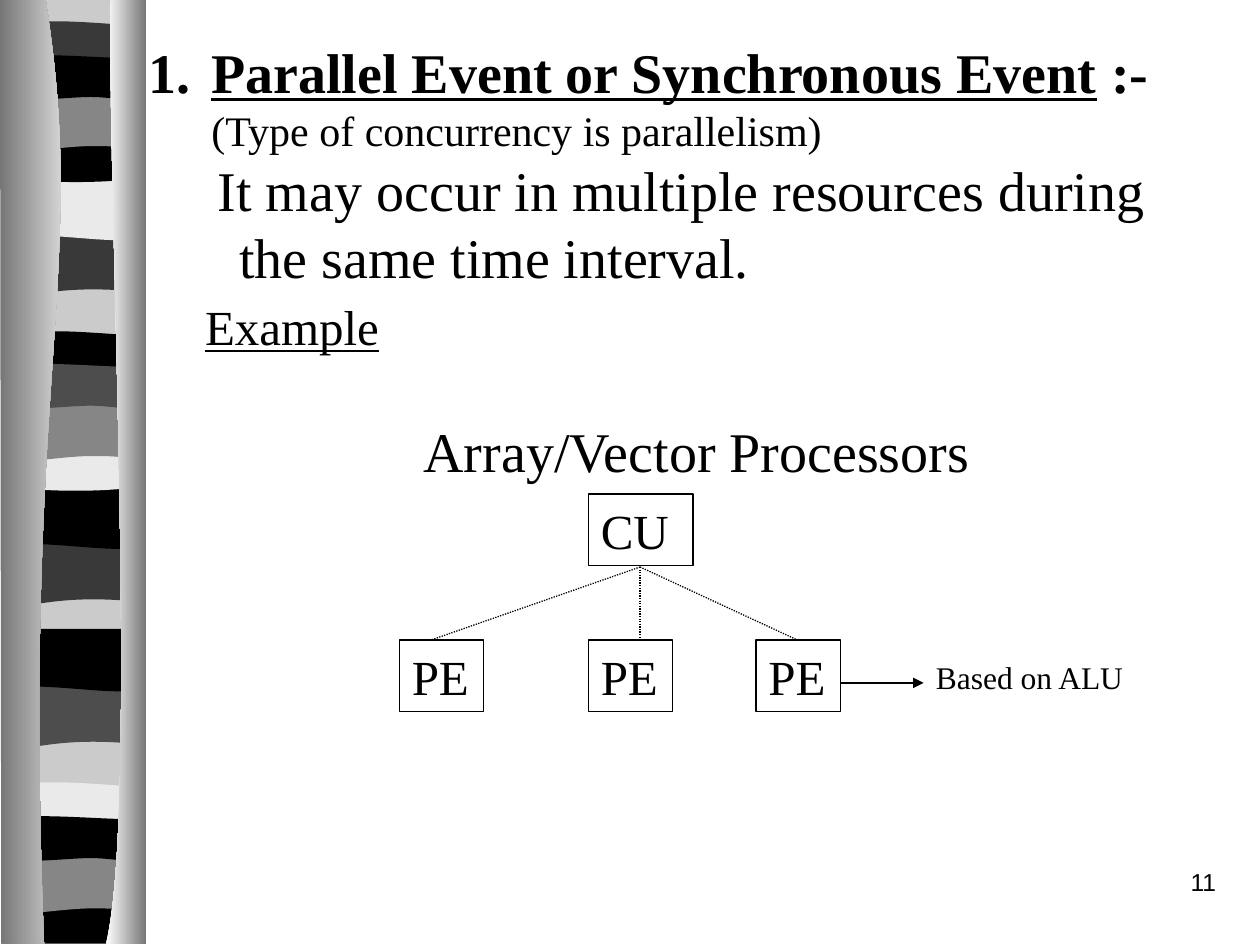
from lxml.etree import SubElement
from pptx import Presentation
from pptx.dml.color import RGBColor
from pptx.enum.dml import MSO_LINE
from pptx.enum.shapes import MSO_CONNECTOR, MSO_SHAPE
from pptx.enum.text import MSO_ANCHOR, PP_ALIGN
from pptx.oxml.ns import qn
from pptx.util import Inches, Pt

BLACK = RGBColor(0x00, 0x00, 0x00)
CHARCOAL = RGBColor(0x39, 0x39, 0x39)
DARK = RGBColor(0x4D, 0x4D, 0x4D)
STEEL = RGBColor(0x76, 0x76, 0x76)
GRAY = RGBColor(0x86, 0x86, 0x86)
SILVER = RGBColor(0xCB, 0xCB, 0xCB)
PALE = RGBColor(0xEA, 0xEA, 0xEA)
WHITE = RGBColor(0xFF, 0xFF, 0xFF)

LINE_HEIGHT = 1.2


def add_outline(outline, top=0):
    """Draw a closed outline: two numbers are a corner, six a Bezier curve."""
    points = [(Inches(x), Inches(top + y)) for segment in outline
              for x, y in zip(segment[::2], segment[1::2])]
    builder = slide.shapes.build_freeform(*points[0], scale=1.0)
    builder.add_line_segments(points[1:], close=True)
    shape = builder.convert_to_shape()
    lines = iter(list(shape._element.iter(qn("a:lnTo"))))
    for segment in outline[1:]:
        line = next(lines)
        if len(segment) == 6:
            line.tag = qn("a:cubicBezTo")
            for _ in range(2):
                control = next(lines)
                control.getparent().remove(control)
                line.append(control[0])
    shape.shadow.inherit = False
    shape.line.fill.background()
    return shape


def write(shape, text, size=28, font="Times New Roman", align=PP_ALIGN.LEFT, bold=False,
          underline=False, left=0, first=0, before=0, number=False, tail=""):
    """Add a paragraph; left and first are indents in inches, tail is not underlined."""
    frame = shape.text_frame
    frame.word_wrap = True
    frame.vertical_anchor = MSO_ANCHOR.TOP
    paragraph = frame.add_paragraph() if frame.text else frame.paragraphs[0]
    paragraph.alignment = align
    paragraph.line_spacing = Pt(round(size * LINE_HEIGHT, 1))
    paragraph.space_before = Pt(before)
    properties = paragraph._p.get_or_add_pPr()
    properties.set("marL", str(Inches(left)))
    properties.set("indent", str(Inches(first)))
    if number:
        SubElement(properties, qn("a:buFont"), typeface=font)
        SubElement(properties, qn("a:buAutoNum"), type="arabicPeriod")
    for words, underlined in ((text, underline), (tail, False)):
        if words:
            run = paragraph.add_run()
            run.text = words
            run.font.name = font
            run.font.size = Pt(size)
            run.font.bold = bold
            run.font.underline = underlined
            run.font.color.rgb = BLACK


presentation = Presentation()
presentation.slide_width = Inches(10)
presentation.slide_height = Inches(7.5)
slide = presentation.slides.add_slide(presentation.slide_layouts[6])

# Striped column: outlines are measured from the top of each band
column = [(1.14, -0.01), (1.14, 7.47), (0.06, 7.47), (0.06, -0.01)]
wave = [(1.14, 0), (1.14, 0.47), (0.39, 0.39, 0.24, 0.55, 0.06, 0.47), (0.06, 0)]
swell = [(1.14, 0), (1.14, 0.47), (0.96, 0.55, 0.39, 0.42, 0.06, 0.47), (0.06, 0)]
lens = [(1.14, 0.05), (1.14, 0.29), (0.96, 0.33, 0.24, 0.33, 0.06, 0.29), (0.06, 0.05),
        (0.12, 0, 0.29, 0.01, 0.47, 0.01), (0.65, 0.01, 1, 0.04, 1.14, 0.05)]
cup = [(1.14, 0), (1.14, 0.32), (0.96, 0.38, 0.24, 0.38, 0.06, 0.32), (0.06, 0),
       (0.72, 0.05, 0.91, 0, 1.14, 0)]
arch = [(1.14, 0), (1.14, 0.47), (0.97, 0.42, 0.9, 0.42, 0.72, 0.42),
        (0.54, 0.42, 0.22, 0.47, 0.06, 0.47), (0.06, 0)]
ribbon = [(1.14, 0.05), (1.14, 0.36), (1.07, 0.41, 0.9, 0.36, 0.72, 0.36),
          (0.54, 0.36, 0.17, 0.41, 0.06, 0.36), (0.06, 0.05),
          (0.21, 0, 0.79, 0.05, 0.97, 0.05), (1.15, 0.05, 1.1, 0.05, 1.14, 0.05)]
foot = [(1.14, 0), (1.14, 0.37), (0.06, 0.37), (0.06, 0), (0.72, 0.05, 0.91, 0, 1.14, 0)]

bands = [
    (column, 0, SILVER),
    (wave, 1.85, CHARCOAL), (swell, 1.41, PALE), (lens, 0.16, CHARCOAL),
    (cup, 1.08, BLACK), (arch, 0.74, GRAY), (ribbon, 0.41, BLACK),
    (wave, 4.31, CHARCOAL), (swell, 3.86, BLACK), (lens, 2.62, BLACK),
    (cup, 3.53, PALE), (arch, 3.2, GRAY), (ribbon, 2.86, DARK),
    (wave, 5.44, DARK), (swell, 4.99, BLACK), (lens, 6.2, PALE),
    (foot, 7.12, BLACK), (arch, 6.79, GRAY), (ribbon, 6.45, BLACK),
]
for outline, top, color in bands:
    band = add_outline(outline, top)
    band.fill.solid()
    band.fill.fore_color.rgb = color

left_edge = [(0.36, -0.01), (0.71, 2.16, 0.17, 2.96, 0.35, 7.49), (0.01, 7.49), (0, -0.01)]
right_edge = [(0.88, -0.01), (0.84, 1.25, 1.11, 6.46, 0.84, 7.49), (1.16, 7.49), (1.16, 0)]
for outline, colors in ((left_edge, (STEEL, WHITE)), (right_edge, (WHITE, STEEL))):
    edge = add_outline(outline)
    edge.fill.gradient()
    edge.fill.gradient_angle = 0
    for stop, color in zip(edge.fill.gradient_stops, colors):
        stop.color.rgb = color

# Text
page_number = slide.shapes.add_textbox(Inches(7.67), Inches(6.83), Inches(2.08), Inches(0.5))
write(page_number, "11", size=14, font="Arial", align=PP_ALIGN.RIGHT)

body = slide.shapes.add_textbox(Inches(1.08), Inches(0.25), Inches(8.5), Inches(2.64))
write(body, "Parallel Event or Synchronous Event", size=32, bold=True, underline=True,
      left=0.5, first=-0.5, number=True, tail=" :-")
write(body, "(Type of concurrency is parallelism)", size=24, left=0.5)
write(body, "It may occur in multiple resources during the same time interval.", size=32,
      left=0.72, first=-0.17)
write(body, "Example", underline=True, left=0.45, before=4)

diagram_title = slide.shapes.add_textbox(Inches(1.28), Inches(3.26), Inches(8.5), Inches(0.64))
write(diagram_title, "Array/Vector Processors", size=32, align=PP_ALIGN.CENTER)

# Control unit and processing elements
for label, left, top, width in (("CU", 4.67, 3.92, 0.83), ("PE", 3.17, 5.08, 0.67),
                                ("PE", 4.67, 5.08, 0.67), ("PE", 6, 5.08, 0.67)):
    box = slide.shapes.add_shape(MSO_SHAPE.RECTANGLE, Inches(left), Inches(top),
                                 Inches(width), Inches(0.57))
    box.shadow.inherit = False
    box.fill.background()
    box.line.color.rgb = BLACK
    box.line.width = Pt(0.75)
    write(box, label)

links = [(5.08, 4.5, x, 5.08, True) for x in (3.42, 5.08, 6.33)]
links.append((6.67, 5.42, 7.33, 5.42, False))
for x1, y1, x2, y2, dotted in links:
    link = slide.shapes.add_connector(MSO_CONNECTOR.STRAIGHT, Inches(x1), Inches(y1),
                                      Inches(x2), Inches(y2))
    link.line.color.rgb = BLACK
    link.line.width = Pt(0.75)
    if dotted:
        link.line.dash_style = MSO_LINE.ROUND_DOT
    else:
        SubElement(link.line._get_or_add_ln(), qn("a:tailEnd"), type="triangle")
    SubElement(link._element.spPr, qn("a:effectLst"))

note = slide.shapes.add_textbox(Inches(7.33), Inches(5.17), Inches(1.92), Inches(0.4))
write(note, "Based on ALU", size=18)

presentation.save("out.pptx")
